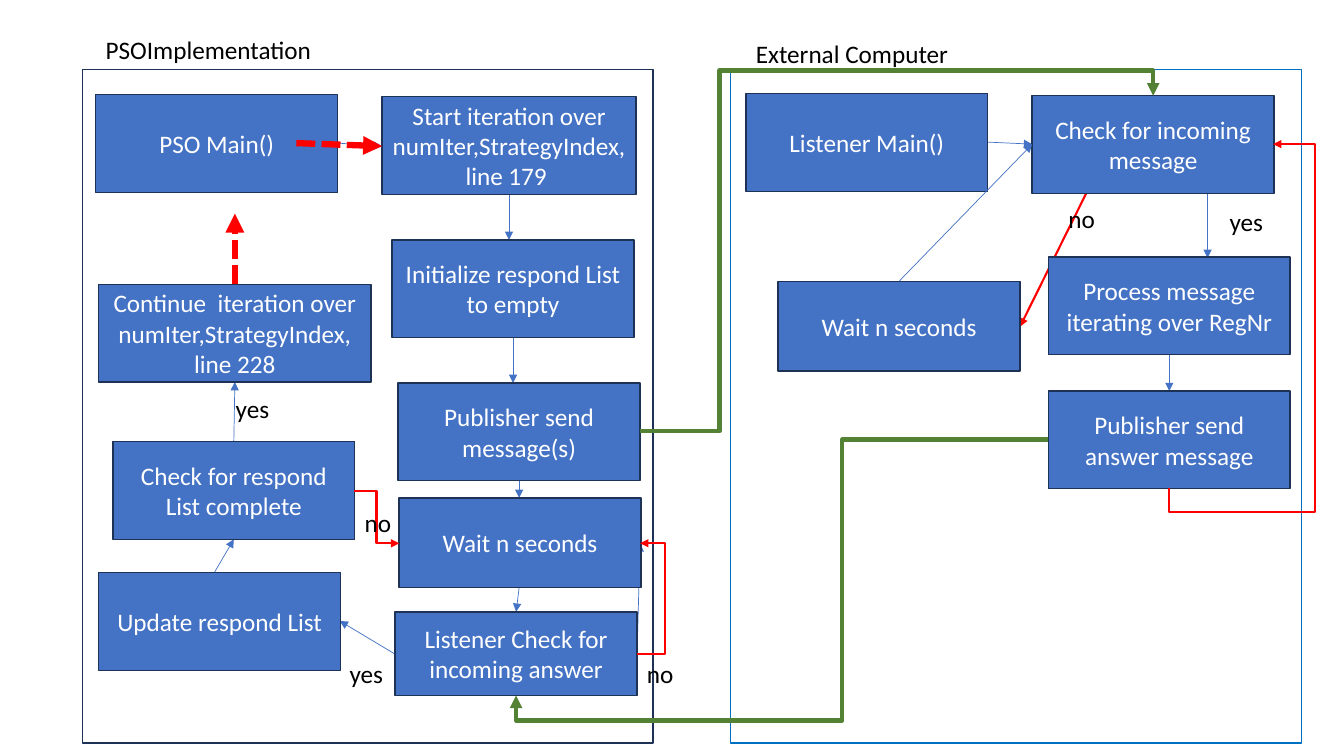
import pptx
import pptx.util
import pptx.dml.color
import pptx.enum.dml
import pptx.enum.shapes
import pptx.enum.text
import pptx.oxml.ns
import lxml.etree

CELL = pptx.util.Inches(0.1)
BLUE, NAVY, RED, GREEN = "4472C4", "1E3256", "FF0000", "548235"
WIDE, TALL = 24, 9.7
PANEL = (56.6, 66.8)
LINKS = pptx.enum.shapes.MSO_CONNECTOR


def cells(*nums):
    """Turn grid counts of a tenth of an inch into lengths."""
    return [round(num * CELL) for num in nums]


def paint(hue):
    """Turn a hex string into a colour."""
    return pptx.dml.color.RGBColor.from_string(hue)


def write(shape, text, hue, align):
    """Put one run of text into a shape."""
    shape.text_frame.word_wrap = True
    para = shape.text_frame.paragraphs[0]
    para.alignment = align
    run = para.add_run()
    run.text = text
    run.font.name = "Calibri"
    run.font.size = pptx.util.Pt(18)
    run.font.color.rgb = paint(hue)


def rect(slide, left, top, wide, tall, edge, fill=None):
    """Draw a rectangle with a thin edge."""
    kind = pptx.enum.shapes.MSO_SHAPE.RECTANGLE
    shape = slide.shapes.add_shape(kind, *cells(left, top, wide, tall))
    shape.shadow.inherit = False
    if fill:
        shape.fill.solid()
        shape.fill.fore_color.rgb = paint(fill)
    else:
        shape.fill.background()
    shape.line.color.rgb = paint(edge)
    shape.line.width = pptx.util.Pt(1)
    return shape


def step(slide, base, text, left, top, wide=WIDE, tall=TALL):
    """Draw one step of the flow inside a panel."""
    shape = rect(slide, base[0] + left, base[1] + top, wide, tall, NAVY, BLUE)
    shape.text_frame.vertical_anchor = pptx.enum.text.MSO_ANCHOR.MIDDLE
    write(shape, text, "FFFFFF", pptx.enum.text.PP_ALIGN.CENTER)


def label(slide, base, text, left, top, wide=5.4):
    """Write a plain label next to a panel's origin."""
    box = slide.shapes.add_textbox(*cells(base[0] + left, base[1] + top, wide, 4))
    box.text_frame.margin_right = 0
    write(box, text, "000000", pptx.enum.text.PP_ALIGN.LEFT)


def arrow(slide, base, ends, hue=BLUE, width=0.5, dash=False, kind=LINKS.STRAIGHT):
    """Draw a connector with an arrowhead at its end."""
    x, y = base
    a, b, c, d = ends
    link = slide.shapes.add_connector(kind, *cells(x + a, y + b, x + c, y + d))
    link.line.color.rgb = paint(hue)
    link.line.width = pptx.util.Pt(width)
    if dash:
        link.line.dash_style = pptx.enum.dml.MSO_LINE.SQUARE_DOT
    qn = pptx.oxml.ns.qn
    props = link._element.spPr
    lxml.etree.SubElement(props.find(qn("a:ln")), qn("a:tailEnd"), type="triangle")
    lxml.etree.SubElement(props, qn("a:effectLst"))
    return link


def elbow(slide, base, ends, hue, width, bends, turn=0):
    """Draw a bent arrow whose bends are shares of its box."""
    link = arrow(slide, base, ends, hue, width, kind=LINKS.ELBOW)
    qn = pptx.oxml.ns.qn
    props = link._element.spPr
    if turn:
        props.find(qn("a:xfrm")).set("rot", str(turn * 60000))
    geom = props.find(qn("a:prstGeom"))
    geom.set("prst", f"bentConnector{len(bends) + 2}")
    guides = geom.find(qn("a:avLst"))
    for num, bend in enumerate(bends, 1):
        lxml.etree.SubElement(guides, qn("a:gd"), name=f"adj{num}",
                              fmla=f"val {round(bend * 100000)}")


def solver(slide, base):
    """Build the left panel with the iteration loop."""
    rect(slide, *base, *PANEL, NAVY)
    for ends in [
        (25.3, 7.3, 29.7, 7.6), (42.3, 12.4, 42.3, 16.9), (42.7, 26.6, 42.7, 31.1),
        (55, 58, 55.3, 47), (31, 58, 25.5, 54.7), (43.3, 40.7, 43.3, 42.5),
        (12.6, 50.7, 15, 46.6), (43.3, 51.4, 43, 53.8), (15, 36.9, 15.1, 31),
    ]:
        arrow(slide, base, ends)
    for item in [
        ("PSO Main()", 1.3, 2.5),
        ("Start iteration over numIter,StrategyIndex, line 179 ", 29.7, 2.7, 25.2),
        ("Initialize respond List to empty", 30.7, 16.9),
        ("Publisher send message(s)", 31.3, 31.1),
        ("Wait n seconds", 31.4, 42.5, WIDE, 8.9),
        ("Listener Check for incoming answer", 31, 53.8, WIDE, 8.3),
        ("Update respond List", 1.6, 49.9),
        ("Check for respond List complete", 3, 36.9),
        ("Continue  iteration over numIter,StrategyIndex, line 228", 1.6, 21.3, 27),
    ]:
        step(slide, base, *item)
    for ends in [(15.1, 21.3, 15.1, 14.3), (21.2, 7.3, 29.7, 7.6)]:
        arrow(slide, base, ends, RED, 4.5, True)
    elbow(slide, base, (55, 58, 55.3, 47), RED, 1.5, [9.33])
    elbow(slide, base, (26.9, 41.8, 31.4, 47), RED, 1.5, [0.5])
    for item in [
        ("PSOImplementation", 1.3, -4, 22.6), ("yes", 25.5, 57.9), ("no", 55, 57.9),
        ("no", 27, 42.9), ("yes", 14.2, 31.6),
    ]:
        label(slide, base, *item)


def remote(slide, base):
    """Build the right panel with the message listener."""
    rect(slide, *base, *PANEL, "0070C0")
    for ends in [(25.5, 7.2, 29.9, 7.4), (47.3, 11.8, 47.3, 18.7), (43.5, 28.3, 43.5, 31.9)]:
        arrow(slide, base, ends)
    arrow(slide, base, (35.4, 12, 28.7, 25.5), RED, 1.5)
    for item in [
        ("Listener Main()", 1.5, 2.4),
        ("Check for incoming message", 29.9, 2.6),
        ("Process message iterating over RegNr", 31.5, 18.6),
        ("Publisher send answer message", 31.5, 31.9),
        ("Wait n seconds", 4.7, 21, WIDE, 8.9),
    ]:
        step(slide, base, *item)
    arrow(slide, base, (16.7, 21, 29.9, 7.4))
    elbow(slide, base, (65.7, 29.6, 31.6, 19.3), RED, 1.5, [-0.07, 1.4], 90)
    for item in [
        ("External Computer", 1.5, -3.6, 21.3), ("yes", 48.5, 13.1), ("no", 32.5, 12.8),
    ]:
        label(slide, base, *item)


def bridge(slide, base):
    """Join the two panels with message arrows."""
    elbow(slide, base, (63.5, 42.8, 114.4, 9.5), GREEN, 3, [0.155, 1.075])
    elbow(slide, base, (51.2, 69, 104, 43.6), GREEN, 3, [0.387, 1.098], 180)


def main():
    """Build and save the slide."""
    deck = pptx.Presentation()
    deck.slide_width, deck.slide_height = cells(133.33, 75)
    slide = deck.slides.add_slide(deck.slide_layouts[6])
    solver(slide, (8.2, 6.9))
    remote(slide, (72.5, 6.9))
    bridge(slide, (0, 0))
    deck.save("out.pptx")


if __name__ == "__main__":
    main()
